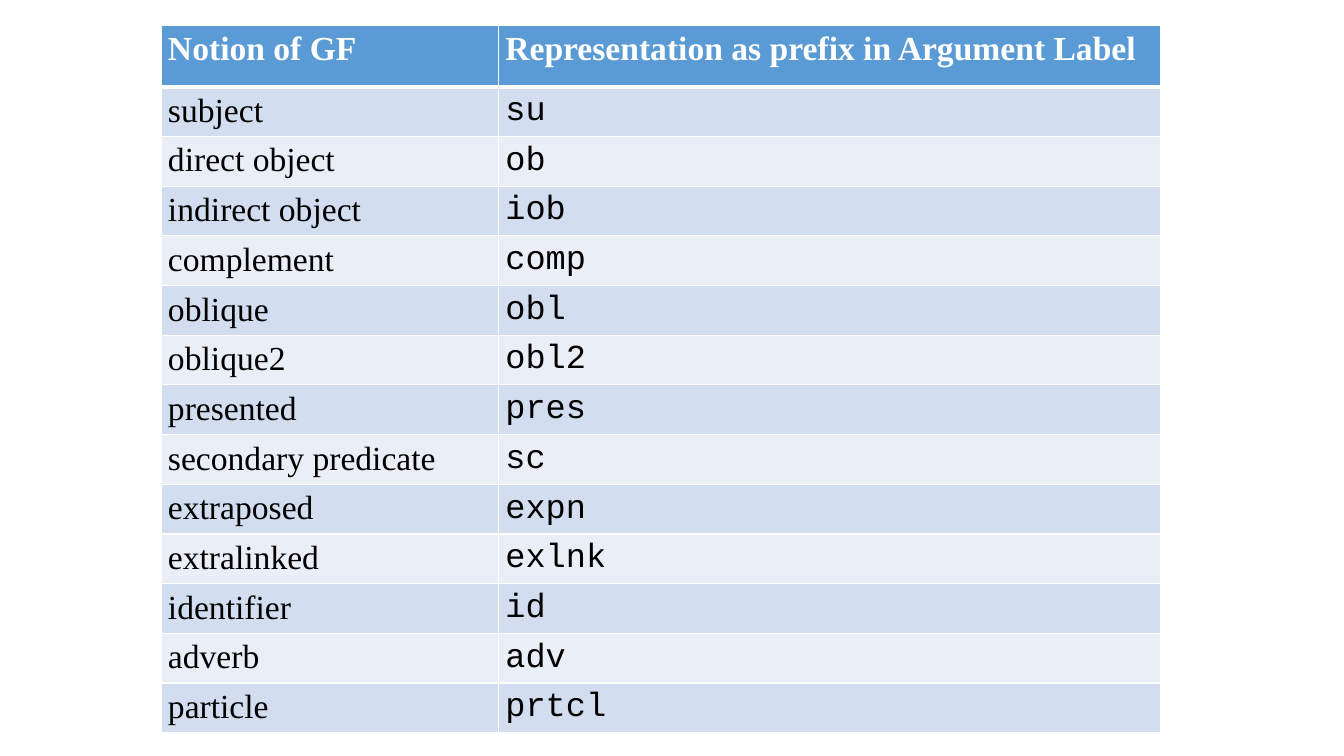
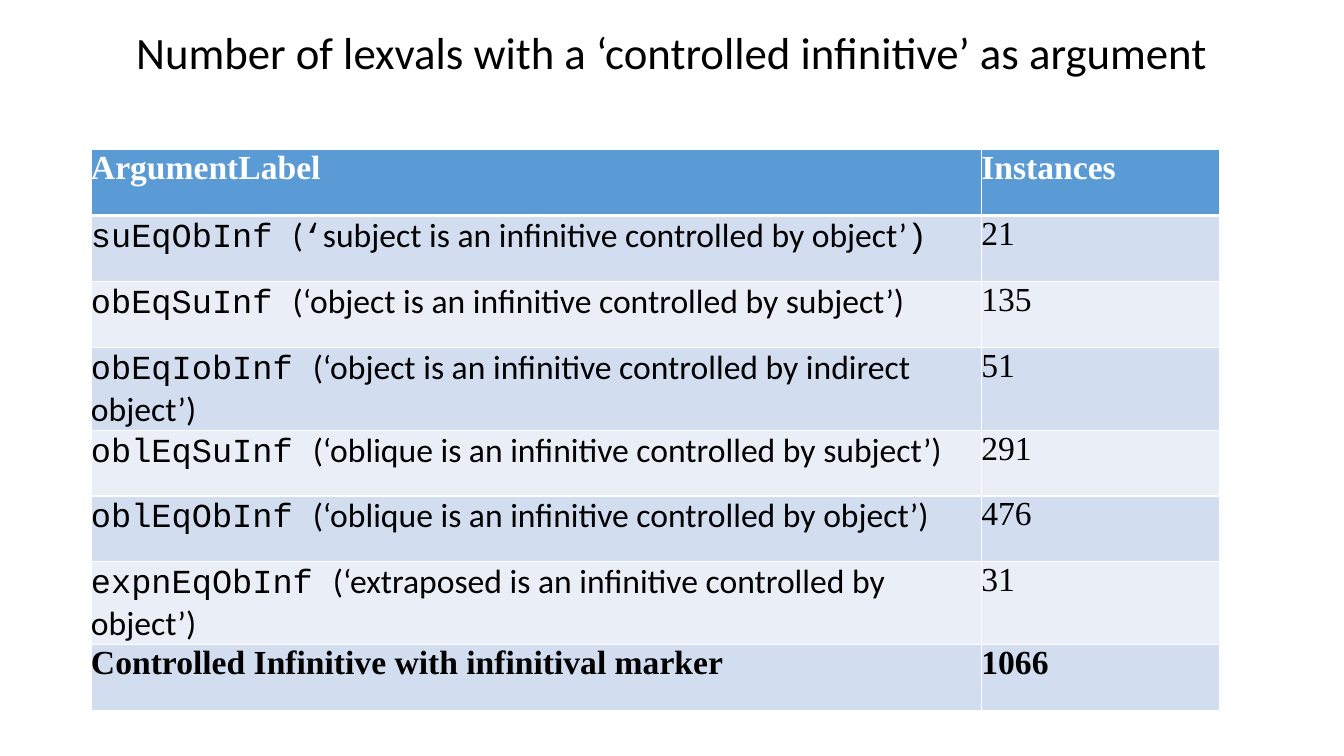
from dataclasses import dataclass

from lxml.etree import SubElement
from pptx import Presentation
from pptx.dml.color import RGBColor
from pptx.enum.text import MSO_ANCHOR, PP_ALIGN
from pptx.oxml.ns import qn
from pptx.util import Emu, Pt

PX = 6350  # 144 px to the inch
TITLE_ONLY, BLANK = 5, 6


@dataclass(frozen=True)
class Theme:
    header: RGBColor = RGBColor(0x5B, 0x9B, 0xD5)
    bands: tuple = (RGBColor(0xD2, 0xDE, 0xEF), RGBColor(0xEA, 0xEF, 0xF7))
    white: RGBColor = RGBColor(0xFF, 0xFF, 0xFF)
    black: RGBColor = RGBColor(0, 0, 0)
    serif: str = "Times New Roman"
    sans: str = "Calibri"
    code: str = "Courier New"
    title_size: Pt = Pt(32)
    table_size: Pt = Pt(24)
    thin: Pt = Pt(1)
    thick: Pt = Pt(3)


THEME = Theme()

# Table content
FUNCTIONS = [
    ("subject", "su"),
    ("direct object", "ob"),
    ("indirect object", "iob"),
    ("complement", "comp"),
    ("oblique", "obl"),
    ("oblique2", "obl2"),
    ("presented", "pres"),
    ("secondary predicate", "sc"),
    ("extraposed", "expn"),
    ("extralinked", "exlnk"),
    ("identifier", "id"),
    ("adverb", "adv"),
    ("particle", "prtcl"),
]
INFINITIVES = [
    ("obEqSuInf", "object", "subject", "135"),
    ("obEqIobInf", "object", "indirect object", "51"),
    ("oblEqSuInf", "oblique", "subject", "291"),
    ("oblEqObInf", "oblique", "object", "476"),
    ("expnEqObInf", "extraposed", "object", "31"),
]
SUBJECT_LABEL = [
    ("suEqObInf ", THEME.code),
    ("(", THEME.sans),
    ("‘", THEME.code),
    ("subject is an infinitive controlled by object’", THEME.sans),
    (")", THEME.code),
]


def px(length):
    return Emu(length * PX)


def set_values(target, values):
    for name, value in values.items():
        setattr(target, name, value)


def serif(text):
    return [(text, THEME.serif)]


def add_run(paragraph, text, font, size, color, bold=False):
    run = paragraph.add_run()
    run.text = text
    set_values(run.font, {"name": font, "size": size, "bold": bold})
    run.font.color.rgb = color


def add_title(slide, text, left, top, width, height):
    title = slide.shapes.title
    set_values(title, {"left": px(left), "top": px(top),
                       "width": px(width), "height": px(height)})
    set_values(title.text_frame, {"word_wrap": True,
                                  "vertical_anchor": MSO_ANCHOR.MIDDLE})
    paragraph = title.text_frame.paragraphs[0]
    set_values(paragraph, {"alignment": PP_ALIGN.CENTER, "line_spacing": 0.9})
    add_run(paragraph, text, THEME.sans, THEME.title_size, THEME.black)


def set_borders(cell, top, bottom):
    properties = cell._tc.get_or_add_tcPr()
    widths = {"lnL": THEME.thin, "lnR": THEME.thin, "lnT": top, "lnB": bottom}
    for index, (side, width) in enumerate(widths.items()):
        line = SubElement(properties, qn(f"a:{side}"), w=str(int(width)))
        fill = SubElement(line, qn("a:solidFill"))
        SubElement(fill, qn("a:srgbClr"), val=str(THEME.white))
        properties.insert(index, line)  # borders come before the fill


def fill_cell(cell, runs, row_index, bold, margin, spacing):
    is_header = row_index == 0
    set_values(cell, {"margin_left": px(margin), "margin_right": px(margin),
                      "margin_top": 0, "margin_bottom": 0})
    cell.fill.solid()
    cell.fill.fore_color.rgb = (
        THEME.header if is_header else THEME.bands[(row_index - 1) % 2])
    set_borders(cell,
                top=THEME.thick if row_index == 1 else THEME.thin,
                bottom=THEME.thick if is_header else THEME.thin)
    paragraph = cell.text_frame.paragraphs[0]
    set_values(paragraph, spacing)
    color = THEME.white if is_header else THEME.black
    for text, font in runs:
        add_run(paragraph, text, font, THEME.table_size, color, bold)


def add_grid(slide, rows, left, top, columns, header_height, row_height,
             margin, spacing, bold_rows=(0,)):
    heights = [header_height] + [row_height] * (len(rows) - 1)
    table = slide.shapes.add_table(
        len(rows), len(columns), px(left), px(top),
        px(sum(columns)), px(sum(heights))).table
    for column, width in zip(table.columns, columns):
        column.width = px(width)
    for row_index, (row, height) in enumerate(zip(rows, heights)):
        table.rows[row_index].height = px(height)
        for column_index, runs in enumerate(row):
            fill_cell(table.cell(row_index, column_index), runs, row_index,
                      row_index in bold_rows, margin, spacing)


def build_functions_slide(presentation):
    slide = presentation.slides.add_slide(presentation.slide_layouts[BLANK])
    rows = [(serif("Notion of GF"),
             serif("Representation as prefix in Argument Label"))]
    rows += [(serif(notion), [(prefix, THEME.code)])
             for notion, prefix in FUNCTIONS]
    add_grid(slide, rows, left=230, top=36, columns=(482, 946),
             header_height=88, row_height=71, margin=10,
             spacing={"line_spacing": 1.15})


def build_infinitives_slide(presentation):
    slide = presentation.slides.add_slide(presentation.slide_layouts[TITLE_ONLY])
    add_title(slide, "Number of lexvals with a ‘controlled infinitive’ as argument",
              left=0, top=36, width=1920, height=84)
    rows = [(serif("ArgumentLabel"), serif("Instances")),
            (SUBJECT_LABEL, serif("21"))]
    for label, role, controller, count in INFINITIVES:
        gloss = f"(‘{role} is an infinitive controlled by {controller}’)"
        rows.append(([(f"{label} ", THEME.code), (gloss, THEME.sans)],
                     serif(count)))
    rows.append((serif("Controlled Infinitive with infinitival marker"),
                 serif("1066")))
    add_grid(slide, rows, left=130, top=214, columns=(1272, 340),
             header_height=94, row_height=94, margin=0,
             spacing={"space_before": Pt(3)}, bold_rows=(0, len(rows) - 1))


def main():
    presentation = Presentation()
    set_values(presentation, {"slide_width": px(1920), "slide_height": px(1080)})
    build_functions_slide(presentation)
    build_infinitives_slide(presentation)
    presentation.save("out.pptx")


if __name__ == "__main__":
    main()
